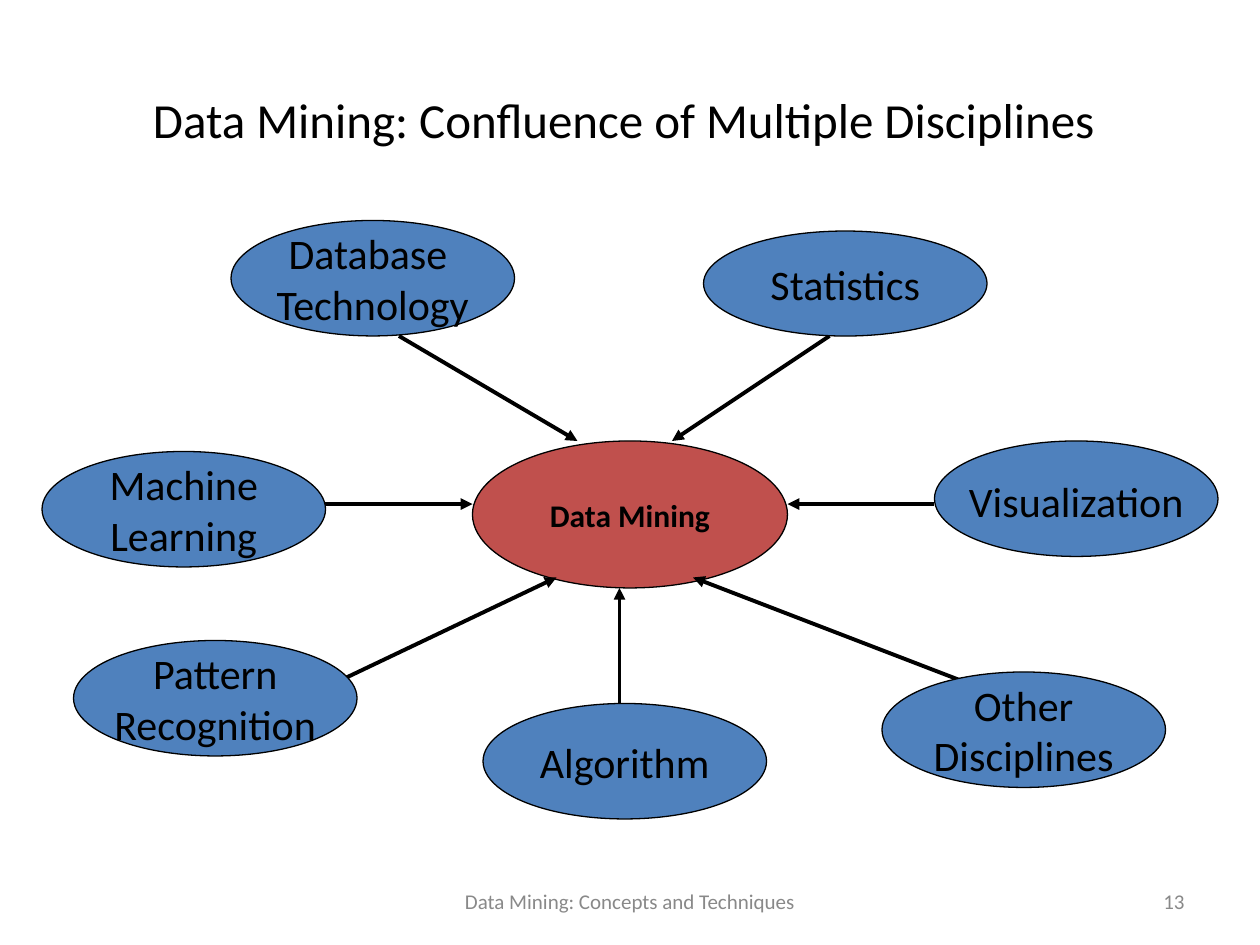
"""Build a slide showing the disciplines that feed into data mining."""
from dataclasses import dataclass

from lxml import etree
from pptx import Presentation
from pptx.dml.color import RGBColor
from pptx.enum import shapes, text
from pptx.oxml import ns
from pptx.util import Pt


@dataclass(frozen=True)
class Theme:
    font: str = "Calibri"
    ink: str = "000000"
    muted: str = "898989"
    hub: str = "C0504D"
    discipline: str = "4F81BD"
    title_size: int = 28
    title_end_size: int = 32
    discipline_size: int = 24
    hub_size: int = 18
    footer_size: int = 12
    outline: float = 0.75
    arrow: float = 2.25


theme = Theme()
center, right = text.PP_ALIGN.CENTER, text.PP_ALIGN.RIGHT


def write(box, lines, color, align=center, bold=False, wrap=True, spacing=None):
    """Fill a box with one paragraph per line, each a list of (words, size) runs."""
    frame = box.text_frame
    frame.word_wrap = wrap
    frame.vertical_anchor = text.MSO_ANCHOR.MIDDLE
    for index, line in enumerate(lines):
        para = frame.add_paragraph() if index else frame.paragraphs[0]
        para.alignment = align
        para.line_spacing = spacing
        for words, size in line:
            span = para.add_run()
            span.text = words
            span.font.name = theme.font
            span.font.size = Pt(size)
            span.font.bold = bold
            span.font.color.rgb = RGBColor.from_string(color)


def add_ellipse(page, place, fill, lines, size, **style):
    """Draw an outlined ellipse with centred lines of text."""
    ellipse = page.shapes.add_shape(shapes.MSO_SHAPE.OVAL, *map(Pt, place))
    ellipse.shadow.inherit = False
    ellipse.fill.solid()
    ellipse.fill.fore_color.rgb = RGBColor.from_string(fill)
    ellipse.line.color.rgb = RGBColor.from_string(theme.ink)
    ellipse.line.width = Pt(theme.outline)
    write(ellipse, [[(line, size)] for line in lines], theme.ink, wrap=False, **style)


deck = Presentation()
deck.slide_width, deck.slide_height = Pt(720), Pt(540)
page = deck.slides.add_slide(deck.slide_layouts[6])

labels = [
    ((36, 21.6, 648, 90), theme.ink, center,
     [("Data Mining: Confluence of Multiple Disciplines", theme.title_size),
      (" ", theme.title_end_size)]),
    ((246, 500.5, 228, 28.75), theme.muted, center,
     [("Data Mining: Concepts and Techniques", theme.footer_size)]),
    ((516, 500.5, 168, 28.75), theme.muted, right, [("13", theme.footer_size)]),
]
for place, color, align, line in labels:
    write(page.shapes.add_textbox(*map(Pt, place)), [line], color, align)

add_ellipse(page, (270, 252, 180, 84), theme.hub, ["Data Mining"], theme.hub_size, bold=True)

arrows = [
    (186, 288, 270, 288),
    (228, 192, 330, 252),
    (474, 192, 384, 252),
    (534, 288, 450, 288),
    (552, 390, 396, 330),
    (192, 390, 318, 330),
    (354, 402, 354, 336),
]
for ends in arrows:
    arrow = page.shapes.add_connector(shapes.MSO_CONNECTOR.STRAIGHT, *map(Pt, ends))
    arrow.line.color.rgb = RGBColor.from_string(theme.ink)
    arrow.line.width = Pt(theme.arrow)
    etree.SubElement(arrow.line._get_or_add_ln(), ns.qn("a:tailEnd"), type="triangle")
    etree.SubElement(arrow._element.spPr, ns.qn("a:effectLst"))

disciplines = [
    (132, 126, 66, None, ["Database ", "Technology"]),
    (402, 132, 60, None, ["Statistics"]),
    (24, 258, 66, None, ["Machine", "Learning"]),
    (42, 366, 66, None, ["Pattern", "Recognition"]),
    (276, 402, 66, None, ["Algorithm"]),
    (504, 384, 66, None, ["Other", "Disciplines"]),
    (534, 252, 66, 1.1, ["Visualization"]),
]
for left, top, height, spacing, lines in disciplines:
    add_ellipse(page, (left, top, 162, height), theme.discipline, lines,
                theme.discipline_size, spacing=spacing)

deck.save("out.pptx")
